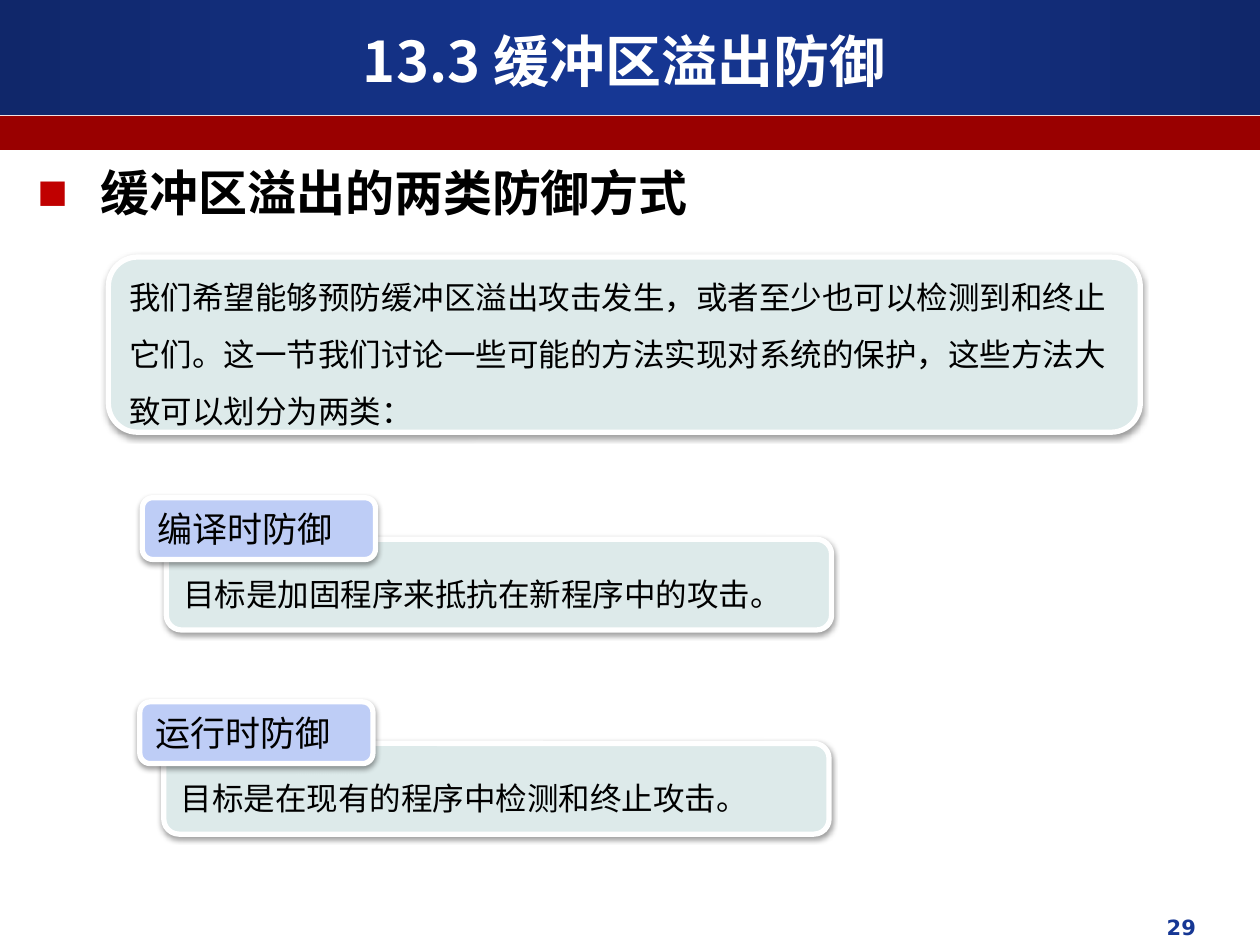
"""Build the slide on the two kinds of buffer overflow defence."""
from lxml import etree
from pptx import Presentation
from pptx.dml.color import RGBColor
from pptx.enum.shapes import MSO_SHAPE
from pptx.enum.text import MSO_ANCHOR, PP_ALIGN
from pptx.oxml import parse_xml
from pptx.util import Inches, Pt

RECT, ROUND = MSO_SHAPE.RECTANGLE, MSO_SHAPE.ROUNDED_RECTANGLE
TOP, MIDDLE = MSO_ANCHOR.TOP, MSO_ANCHOR.MIDDLE
LEFT, CENTER, RIGHT = PP_ALIGN.LEFT, PP_ALIGN.CENTER, PP_ALIGN.RIGHT
NS = "http://schemas.openxmlformats.org/drawingml/2006/main"
CJK, LATIN = "Noto Sans CJK SC", "DejaVu Sans"
PALE, BLUE = "DDEAEA", "BECDF6"
SHADOW = (f'<a:effectLst xmlns:a="{NS}"><a:outerShdw blurRad="40000" dist="20000" '
          'dir="5400000" rotWithShape="0"><a:srgbClr val="000000">'
          '<a:alpha val="38000"/></a:srgbClr></a:outerShdw></a:effectLst>')


def rgb(value):
    return RGBColor.from_string(value)


def write(s, text, size, color="000000", bold=False, font=CJK,
          align=LEFT, anchor=TOP, spacing=None):
    tf = s.text_frame
    tf.word_wrap = True
    tf.vertical_anchor = anchor
    p = tf.paragraphs[0]
    p.alignment = align
    if spacing:
        p.line_spacing = spacing
    r = p.add_run()
    r.text = text
    for name, value in {"size": Pt(size), "bold": bold, "name": font}.items():
        setattr(r.font, name, value)
    r.font.color.rgb = rgb(color)
    etree.SubElement(r._r.get_or_add_rPr(), f"{{{NS}}}ea", typeface=font)
    return p


prs = Presentation()
prs.slide_width, prs.slide_height = Inches(10), Inches(7.5)
slide = prs.slides.add_slide(prs.slide_layouts[5])
shapes = slide.shapes

bars = []
for top, height in ((0, 0.91), (0.92, 0.27)):
    bar = shapes.add_shape(RECT, 0, Inches(top), Inches(10), Inches(height))
    bar.shadow.inherit = False
    bar.line.fill.background()
    bars.append(bar)
header, stripe = bars
stripe.fill.solid()
stripe.fill.fore_color.rgb = rgb("990000")
header.fill.gradient()
stops = "".join(f'<a:gs pos="{pos}"><a:srgbClr val="{color}"/></a:gs>' for pos, color in
                ((0, "10276A"), (50000, "163794"), (100000, "10276A")))
gradient = header._element.spPr.find(f"{{{NS}}}gradFill")
gradient.getparent().replace(gradient, parse_xml(
    f'<a:gradFill xmlns:a="{NS}" rotWithShape="1"><a:gsLst>{stops}</a:gsLst>'
    '<a:lin ang="0" scaled="0"/></a:gradFill>'))

title = shapes.title
title.left, title.top, title.width, title.height = map(Inches, (0.33, 0.17, 9.25, 0.62))
write(title, "13.3 缓冲区溢出防御", 32, "FFFFFF", True, align=CENTER, anchor=MIDDLE)
shapes._spTree.append(title._element)

number = shapes.add_textbox(*map(Inches, (6.42, 7.21, 3.17, 0.35)))
write(number, "29", 12, "163794", True, LATIN, RIGHT)

heading = shapes.add_textbox(*map(Inches, (0.2, 1.24, 7.01, 1.04)))
p = write(heading, "缓冲区溢出的两类防御方式", 28, bold=True)
pPr = p._p.get_or_add_pPr()
pPr.set("marL", str(Inches(0.5)))
pPr.set("indent", str(-Inches(0.5)))
for tag, attrs in (("buSzPct", {"val": "65000"}), ("buFont", {"typeface": LATIN}),
                   ("buChar", {"char": "■"})):
    etree.SubElement(pPr, f"{{{NS}}}{tag}", attrs)
pPr.insert(0, parse_xml(f'<a:buClr xmlns:a="{NS}"><a:srgbClr val="C00000"/></a:buClr>'))

cards = [(0.86, 2.04, 8.19, 1.39, PALE, 18, 1.5,
          "我们希望能够预防缓冲区溢出攻击发生，或者至少也可以检测到和终止它们。"
          "这一节我们讨论一些可能的方法实现对系统的保护，这些方法大致可以划分为两类：")]
for left, top, label, goal in (
        (1.13, 3.95, "编译时防御", "目标是加固程序来抵抗在新程序中的攻击。"),
        (1.11, 5.57, "运行时防御", "目标是在现有的程序中检测和终止攻击。")):
    cards.append((left + 0.19, top + 0.33, 5.28, 0.72, PALE, 18, 1.5, goal))
    cards.append((left, top, 1.85, 0.49, BLUE, 20, None, label))

for left, top, width, height, color, size, spacing, text in cards:
    card = shapes.add_shape(ROUND, *map(Inches, (left, top, width, height)))
    card.fill.solid()
    card.fill.fore_color.rgb = rgb(color)
    card.line.color.rgb = rgb("FFFFFF")
    card.line.width = Pt(3)
    card._element.spPr.append(parse_xml(SHADOW))
    write(card, text, size, anchor=MIDDLE, spacing=spacing)

prs.save("out.pptx")
